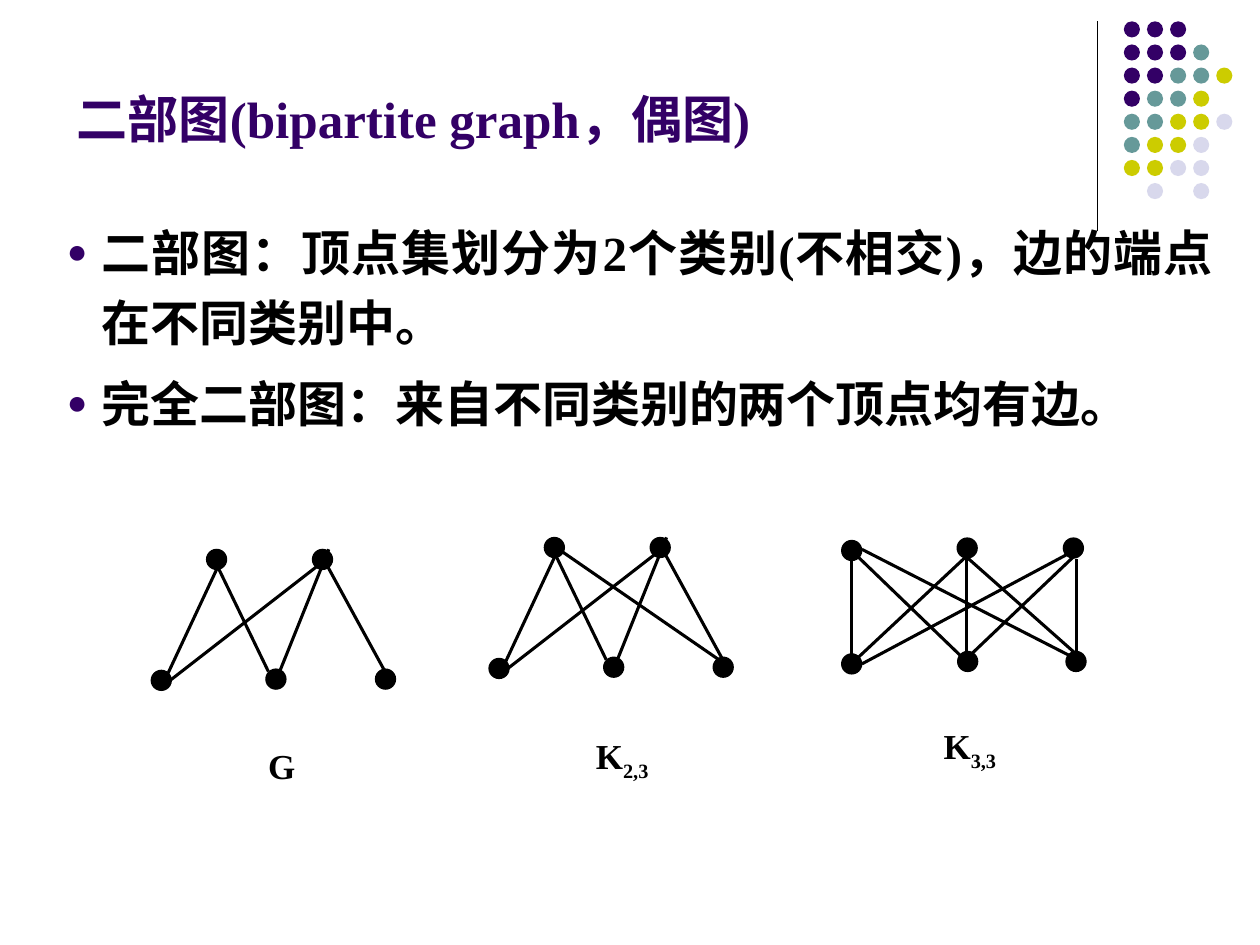
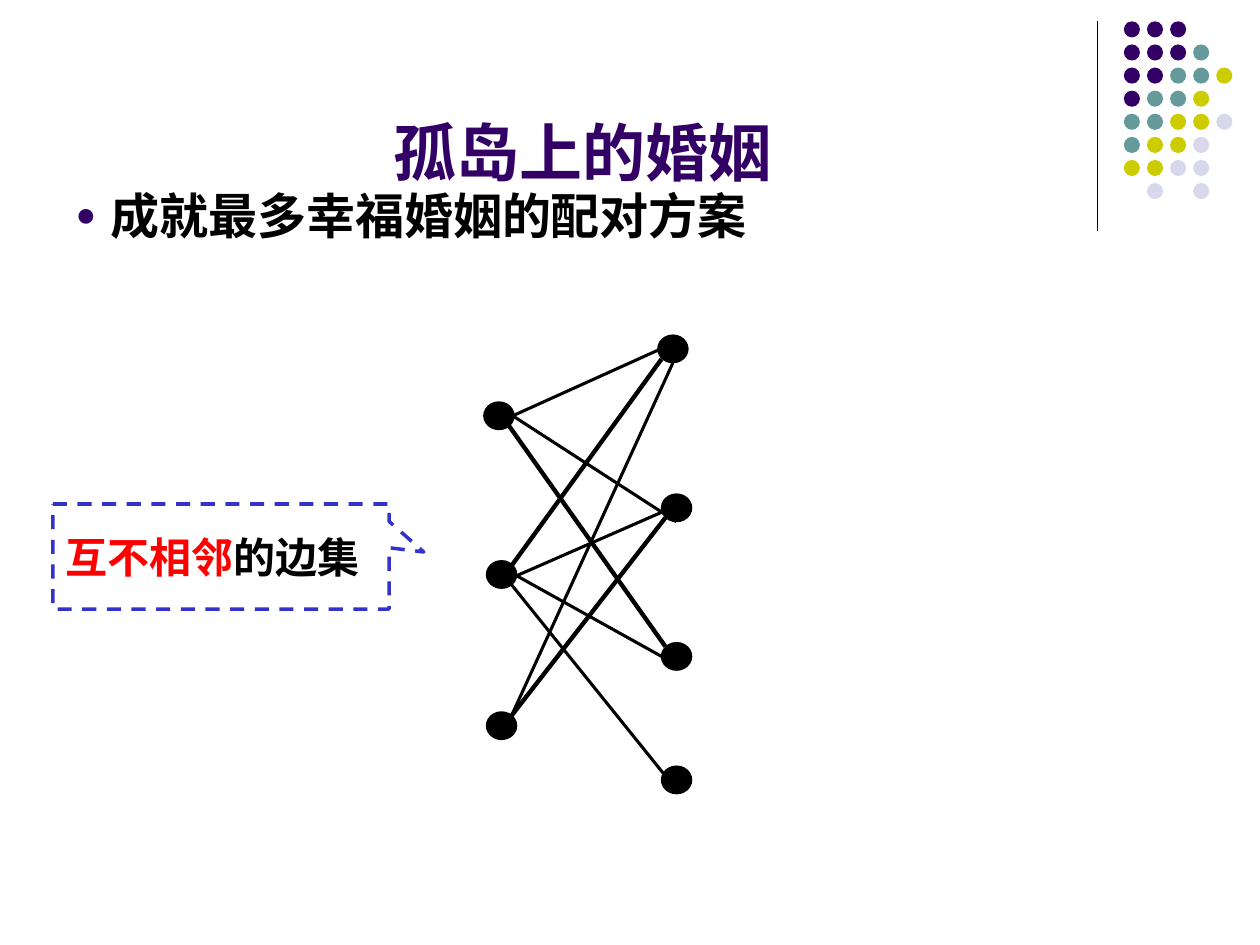
"""Build two slides on bipartite graphs and matchings."""
import lxml.etree
import pptx
import pptx.dml.color
import pptx.enum.dml
import pptx.enum.shapes
import pptx.enum.text
import pptx.oxml
import pptx.oxml.ns
import pptx.util

Pt = pptx.util.Pt
SHAPE = pptx.enum.shapes.MSO_SHAPE
ALIGN = pptx.enum.text.PP_ALIGN
ANCHOR = pptx.enum.text.MSO_ANCHOR
qn = pptx.oxml.ns.qn

COLORS = {
    "purple": "330066", "teal": "669999", "olive": "CCCC00", "lavender": "D8D8EC",
    "black": "000000", "red": "FF0000", "blue": "3333CC",
}
RGB = {name: pptx.dml.color.RGBColor.from_string(value) for name, value in COLORS.items()}


def add_dot(slide, center, width, height, color):
    x, y = center
    dot = slide.shapes.add_shape(SHAPE.OVAL, Pt(x - width / 2), Pt(y - height / 2), Pt(width), Pt(height))
    dot.shadow.inherit = False
    dot.fill.solid()
    dot.fill.fore_color.rgb = RGB[color]
    dot.line.fill.background()
    return dot


def add_edge(slide, x1, y1, x2, y2, weight):
    edge = slide.shapes.add_connector(
        pptx.enum.shapes.MSO_CONNECTOR.STRAIGHT, Pt(x1), Pt(y1), Pt(x2), Pt(y2))
    edge.line.color.rgb = RGB["black"]
    edge.line.width = Pt(weight)
    lxml.etree.SubElement(edge.element.spPr, qn("a:effectLst"))
    return edge


prs = pptx.Presentation()
prs.slide_width, prs.slide_height = Pt(720), Pt(540)
layout = prs.slide_layouts[1]

pages = [
    {"title": "二部图(bipartite graph，偶图)", "title_box": (36.7, 25.9, 594, 62.6),
     "title_size": 29.2, "title_align": ALIGN.LEFT, "font": "Times New Roman",
     "points": ["二部图：顶点集划分为2个类别(不相交)，边的端点在不同类别中。",
                "完全二部图：来自不同类别的两个顶点均有边。"],
     "points_box": (31, 116.6, 668.9, 136), "points_align": ALIGN.JUSTIFY, "spacing": 1.2},
    {"title": "孤岛上的婚姻", "title_box": (36, 9.4, 594, 102.2),
     "title_size": 36, "title_align": ALIGN.CENTER, "font": "Arial",
     "points": ["成就最多幸福婚姻的配对方案"],
     "points_box": (36, 102.2, 666, 59.8), "points_align": ALIGN.LEFT, "spacing": 1.0},
]

slides = []
for page in pages:
    slide = prs.slides.add_slide(layout)
    slides.append(slide)
    title, points = slide.shapes.title, slide.placeholders[1]
    for part, box in ((title, page["title_box"]), (points, page["points_box"])):
        part.left, part.top, part.width, part.height = map(Pt, box)
        part.text_frame.auto_size = pptx.enum.text.MSO_AUTO_SIZE.NONE
    title.text_frame.vertical_anchor = ANCHOR.BOTTOM
    title.text_frame.text = page["title"]
    heading = title.text_frame.paragraphs[0]
    heading.alignment = page["title_align"]
    heading.font.size = Pt(page["title_size"])
    heading.font.color.rgb = RGB["purple"]

    points.text_frame.text = "\n".join(page["points"])
    for point in points.text_frame.paragraphs:
        point.alignment = page["points_align"]
        point.line_spacing = page["spacing"]
        point.space_before = Pt(5.6)
        point.font.size = Pt(28)
        point.font.color.rgb = RGB["black"]
        properties = point._p.get_or_add_pPr()
        properties.set("marL", str(Pt(20)))
        properties.set("indent", str(-Pt(20)))
        bullet = pptx.oxml.parse_xml(
            f'<a:bullet {pptx.oxml.ns.nsdecls("a")}><a:buClr><a:srgbClr val="{COLORS["purple"]}"/></a:buClr>'
            '<a:buSzPct val="70000"/><a:buFont typeface="Arial"/><a:buChar char="●"/></a:bullet>')
        for setting in list(bullet):
            properties.find(qn("a:defRPr")).addprevious(setting)
    for paragraph in (heading, *points.text_frame.paragraphs):
        paragraph.font.name = page["font"]
        paragraph.font.bold = True

graph_slide, matching_slide = slides

# The corner pattern is drawn once and moved to the shared layout.
dot_rows = ["PPP", "PPPT", "PPTTO", "PTTO", "TTOOL", "TOOL", "OOLL", " L L"]
dot_colors = {"P": "purple", "T": "teal", "O": "olive", "L": "lavender"}
corner = [add_edge(graph_slide, 627.1, 12.2, 627.1, 131.8, 0.75)]
for row, letters in enumerate(dot_rows):
    for column, letter in enumerate(letters):
        if letter in dot_colors:
            center = (646.8 + 13.2 * column, 16.8 + 13.2 * row)
            corner.append(add_dot(graph_slide, center, 9.2, 9.2, dot_colors[letter]))
for part in corner:
    layout.shapes.element.append(part.element)

g_vertices = [(123.8, 319.7), (184.3, 319.7), (92.2, 388.8), (157.7, 388.1), (220.3, 388.1)]
g_edges = [
    (123.8, 322.6, 153.4, 383.8), (185.8, 321.1, 219.6, 383), (159.8, 383.8, 187.9, 313.9),
    (123.8, 325.4, 95.8, 385.2), (180.7, 324, 97.2, 388.8),
]
k23_edges = g_edges + [(126, 320.5, 223.2, 387.5)]
k33_vertices = [(486.7, 314.6), (552.7, 313.2), (613.4, 313.2), (486.7, 379.4), (553, 378), (614.9, 378)]
k33_edges = [
    (492.5, 313.9, 617.8, 378), (490.3, 318.2, 548.6, 374.4), (552.2, 318.2, 614.9, 373.7),
    (554.4, 374.4, 613.4, 318.2), (486.7, 319.7, 486.7, 376.6), (609.8, 316.8, 492.5, 379.4),
    (552.2, 315.4, 552.2, 372.2), (614.9, 319.7, 614.9, 376.6), (490.3, 375.8, 558, 312.5),
]
graphs = [
    ("G", "", (146.2, 421.9), (0, 0), g_vertices, g_edges),
    ("K", "2,3", (333.4, 416.2), (193, -6.8), g_vertices, k23_edges),
    ("K", "3,3", (532.1, 410.4), (0, 0), k33_vertices, k33_edges),
]
for letter, subscript, (left, top), (dx, dy), vertices, edges in graphs:
    for x, y in vertices:
        add_dot(graph_slide, (x + dx, y + dy), 12.2, 12.2, "black")
    for x1, y1, x2, y2 in edges:
        add_edge(graph_slide, x1 + dx, y1 + dy, x2 + dx, y2 + dy, 1.75)
    label = graph_slide.shapes.add_textbox(Pt(left), Pt(top), Pt(53.3), Pt(36)).text_frame
    label.word_wrap = True
    caption = label.paragraphs[0]
    caption.alignment = ALIGN.JUSTIFY
    caption.font.name, caption.font.size, caption.font.bold = "Times New Roman", Pt(20), True
    caption.font.color.rgb = RGB["black"]
    caption.add_run().text = letter
    if subscript:
        index = caption.add_run()
        index.text = subscript
        index.font._element.set("baseline", "-25000")

callout = matching_slide.shapes.add_shape(
    SHAPE.RECTANGULAR_CALLOUT, Pt(30.2), Pt(288), Pt(192.2), Pt(60))
callout.adjustments[0], callout.adjustments[1] = 0.603, -0.043
callout.shadow.inherit = False
callout.fill.background()
callout.line.color.rgb = RGB["blue"]
callout.line.width = Pt(2)
callout.line.dash_style = pptx.enum.dml.MSO_LINE.DASH
callout.text_frame.vertical_anchor = ANCHOR.MIDDLE
definition = callout.text_frame.paragraphs[0]
definition.alignment = ALIGN.LEFT
definition.font.name, definition.font.size, definition.font.bold = "Arial", Pt(24), True
for words, color in (("互不相邻", "red"), ("的边集", "black")):
    run = definition.add_run()
    run.text = words
    run.font.color.rgb = RGB[color]

people = [
    (285.1, 237.6), (286.6, 328.3), (286.6, 414.7),
    (384.5, 199.4), (386.6, 290.2), (386.6, 375.1), (386.6, 445.7),
]
possible_pairs = [
    (384.5, 207.4, 292.3, 409), (295.2, 329, 378, 375.1), (375.8, 200.2, 293, 237.6),
    (382.3, 290.9, 295.2, 329), (380.9, 444.2, 292.3, 334.1), (293, 237.6, 386.6, 298.1),
]
matched_pairs = [
    (378, 205.2, 292.3, 323.3), (380.2, 295.9, 292.3, 409), (380.2, 369.4, 290.9, 243.4),
]
for person in people:
    add_dot(matching_slide, person, 18, 16.5, "black")
for pairs, weight in ((possible_pairs, 1.75), (matched_pairs, 2.5)):
    for pair in pairs:
        add_edge(matching_slide, *pair, weight)

prs.save("out.pptx")
